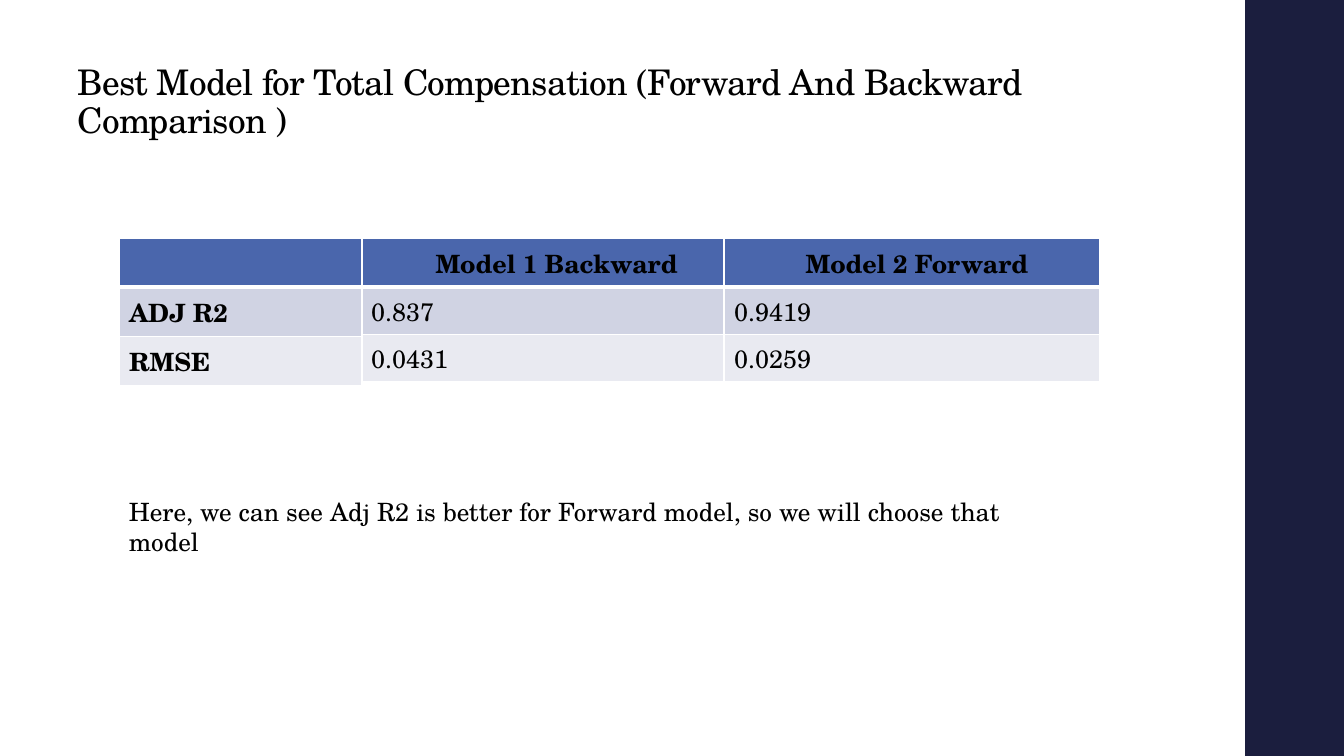
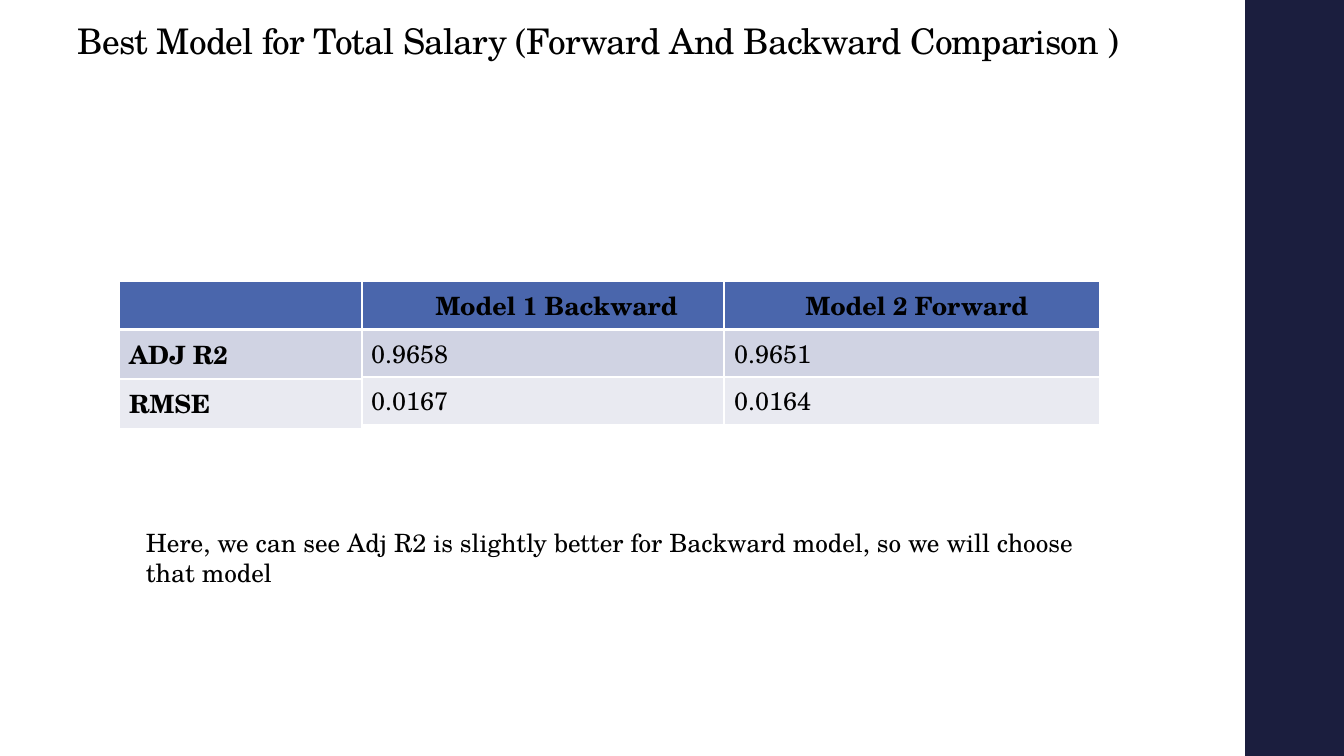
from dataclasses import dataclass

import pptx
import pptx.dml.color
import pptx.enum.shapes
import pptx.enum.text
import pptx.oxml
import pptx.oxml.ns
import pptx.presentation
import pptx.slide
import pptx.table
import pptx.text.text
import pptx.util
from pptx.util import Inches

FONT = "TeX Gyre Schola"
COLORS = {
    "band": "1B1E3E",
    "text": "000000",
    "header": "4A66AC",
    "odd_row": "D0D3E3",
    "even_row": "E9EAF1",
    "border": "FFFFFF",
}
ROW_FILLS = (COLORS["header"], COLORS["odd_row"], COLORS["even_row"])
SLIDE_WIDTH, SLIDE_HEIGHT = 13.33, 7.5
BAND_LEFT = 12.35
LABELS_LEFT, LABELS_WIDTH = 1.18, 2.41
VALUES_LEFT, VALUES_WIDTHS = 3.58, (3.6, 3.73)
LABEL_ROW_HEIGHTS = (0.48, 0.49, 0.49)
VALUE_ROW_HEIGHTS = (0.48, 0.47, 0.47)
HEADER_MARGINS = (0.74, 0.81)
MODELS = ("Model 1 Backward", "Model 2 Forward")
METRICS = ("ADJ R2", "RMSE")


@dataclass(frozen=True)
class Box:
    left: float
    top: float
    width: float
    height: float

    def lengths(self) -> tuple[pptx.util.Length, ...]:
        return tuple(Inches(v) for v in (self.left, self.top, self.width, self.height))


@dataclass(frozen=True)
class Comparison:
    title: str
    title_box: Box
    table_top: float
    adjusted_r2: tuple[str, str]
    rmse: tuple[str, str]
    conclusion: str
    conclusion_box: Box


COMPARISONS = (
    Comparison(
        title="Best Model for Total Compensation (Forward And Backward Comparison )",
        title_box=Box(0.67, 0.51, 11.31, 0.94),
        table_top=2.37,
        adjusted_r2=("0.837", "0.9419"),
        rmse=("0.0431", "0.0259"),
        conclusion="Here, we can see Adj R2 is better for Forward model, "
        "so we will choose that model",
        conclusion_box=Box(1.18, 4.87, 9.56, 0.71),
    ),
    Comparison(
        title="Best Model for Total Salary (Forward And Backward Comparison )",
        title_box=Box(0.67, 0, 11.31, 0.67),
        table_top=2.79,
        adjusted_r2=("0.9658", "0.9651"),
        rmse=("0.0167", "0.0164"),
        conclusion="Here, we can see Adj R2 is slightly better for Backward model, "
        "so we will choose that model",
        conclusion_box=Box(1.35, 5.18, 9.56, 0.71),
    ),
)


def rgb(value: str) -> pptx.dml.color.RGBColor:
    return pptx.dml.color.RGBColor.from_string(value)


def style_paragraph(
    paragraph: pptx.text.text._Paragraph, size: float = 18, bold: bool = False
) -> None:
    font = paragraph.font
    font.name, font.size, font.bold = FONT, pptx.util.Pt(size), bold
    font.color.rgb = rgb(COLORS["text"])


def add_text(
    slide: pptx.slide.Slide, box: Box, text: str, size: float = 18
) -> pptx.text.text.TextFrame:
    frame = slide.shapes.add_textbox(*box.lengths()).text_frame
    frame.word_wrap = True
    frame.text = text
    style_paragraph(frame.paragraphs[0], size)
    return frame


def add_title(slide: pptx.slide.Slide, comparison: Comparison) -> None:
    frame = add_text(slide, comparison.title_box, comparison.title, 25.2)
    frame.vertical_anchor = pptx.enum.text.MSO_ANCHOR.BOTTOM
    paragraph = frame.paragraphs[0]
    paragraph.line_spacing = 0.9
    paragraph.runs[0]._r.get_or_add_rPr().set("spc", "-50")


def add_band(slide: pptx.slide.Slide) -> None:
    box = Box(BAND_LEFT, 0, SLIDE_WIDTH - BAND_LEFT, SLIDE_HEIGHT)
    band = slide.shapes.add_shape(
        pptx.enum.shapes.MSO_SHAPE.RECTANGLE, *box.lengths()
    )
    band.shadow.inherit = False
    band.fill.solid()
    band.fill.fore_color.rgb = rgb(COLORS["band"])
    band.line.fill.background()


def set_borders(cell: pptx.table._Cell, row: int) -> None:
    """Draw thin borders, with a thick rule between the header and the body."""
    widths = {"L": 1, "R": 1, "T": 3 if row == 1 else 1, "B": 3 if row == 0 else 1}
    properties = cell._tc.get_or_add_tcPr()
    for side, width in widths.items():
        properties.append(
            pptx.oxml.parse_xml(
                f'<a:ln{side} {pptx.oxml.ns.nsdecls("a")} w="{pptx.util.Pt(width)}">'
                f'<a:solidFill><a:srgbClr val="{COLORS["border"]}"/></a:solidFill>'
                f"</a:ln{side}>"
            )
        )


def add_table(
    slide: pptx.slide.Slide,
    left: float,
    top: float,
    widths: tuple[float, ...],
    heights: tuple[float, ...],
    rows: tuple[tuple[str, ...], ...],
    bold_body: bool = False,
) -> pptx.table.Table:
    box = Box(left, top, sum(widths), sum(heights))
    table = slide.shapes.add_table(len(rows), len(widths), *box.lengths()).table
    table.first_row = table.horz_banding = False
    for column, width in zip(table.columns, widths):
        column.width = Inches(width)
    for row_index, (texts, height) in enumerate(zip(rows, heights)):
        table.rows[row_index].height = Inches(height)
        for column_index, text in enumerate(texts):
            cell = table.cell(row_index, column_index)
            set_borders(cell, row_index)
            cell.fill.solid()
            cell.fill.fore_color.rgb = rgb(ROW_FILLS[row_index])
            cell.vertical_anchor = pptx.enum.text.MSO_ANCHOR.MIDDLE
            cell.text = text
            style_paragraph(
                cell.text_frame.paragraphs[0], bold=bold_body or row_index == 0
            )
    return table


def add_comparison(
    presentation: pptx.presentation.Presentation, comparison: Comparison
) -> None:
    slide = presentation.slides.add_slide(presentation.slide_layouts[6])
    add_band(slide)
    add_title(slide, comparison)
    values = add_table(
        slide,
        VALUES_LEFT,
        comparison.table_top,
        VALUES_WIDTHS,
        VALUE_ROW_HEIGHTS,
        (MODELS, comparison.adjusted_r2, comparison.rmse),
    )
    for column, margin in enumerate(HEADER_MARGINS):
        values.cell(0, column).margin_left = Inches(margin)
    add_table(
        slide,
        LABELS_LEFT,
        comparison.table_top,
        (LABELS_WIDTH,),
        LABEL_ROW_HEIGHTS,
        (("",), *((metric,) for metric in METRICS)),
        bold_body=True,
    )
    add_text(slide, comparison.conclusion_box, comparison.conclusion)


def main() -> None:
    presentation = pptx.Presentation()
    presentation.slide_width = Inches(SLIDE_WIDTH)
    presentation.slide_height = Inches(SLIDE_HEIGHT)
    for comparison in COMPARISONS:
        add_comparison(presentation, comparison)
    presentation.save("out.pptx")


if __name__ == "__main__":
    main()
